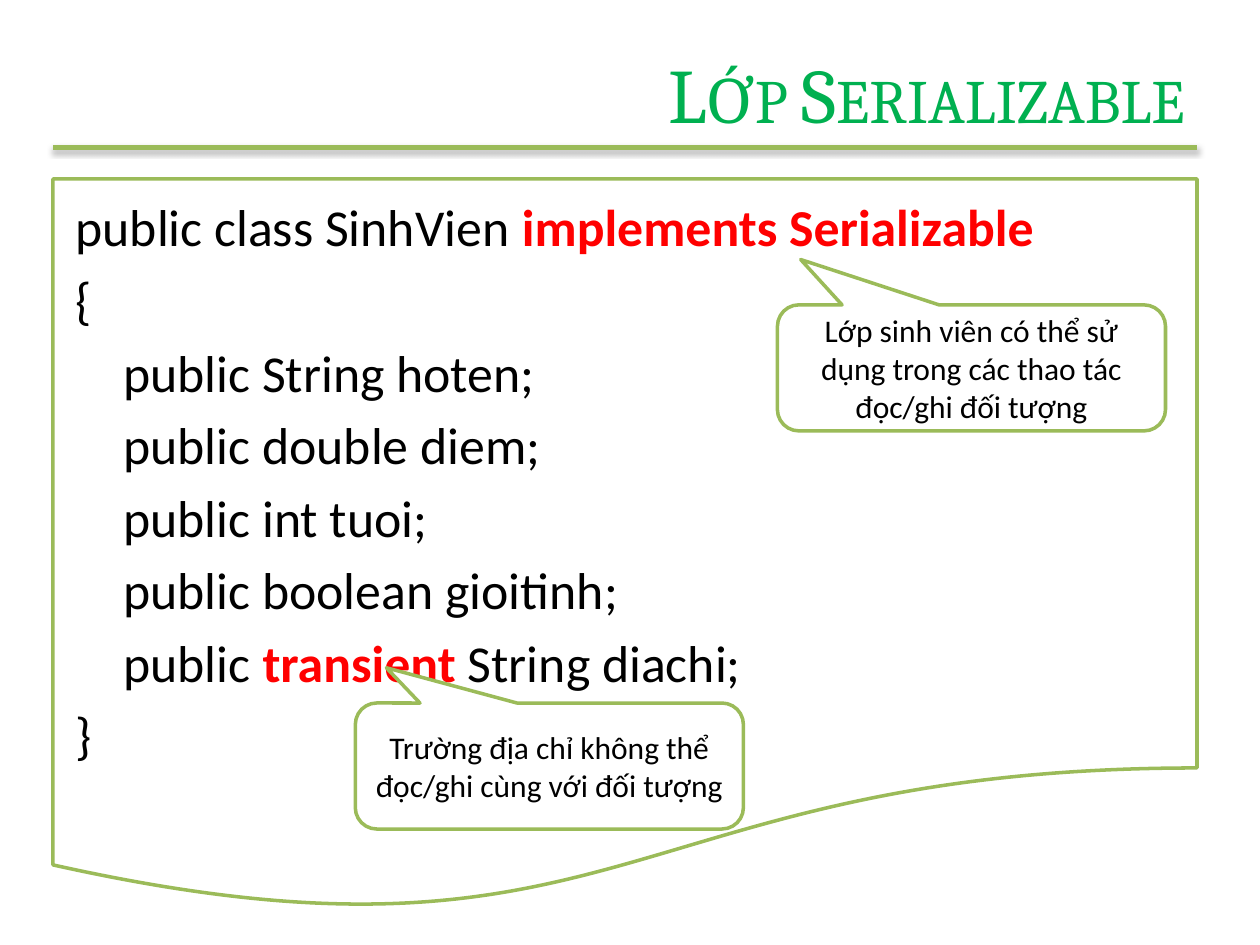
from lxml import etree
from pptx import Presentation
from pptx.dml.color import RGBColor
from pptx.enum.shapes import MSO_CONNECTOR, MSO_SHAPE
from pptx.enum.text import MSO_ANCHOR, PP_ALIGN
from pptx.oxml import parse_xml
from pptx.oxml.ns import nsdecls
from pptx.util import Inches, Pt

LEFT, CENTER, RIGHT = PP_ALIGN.LEFT, PP_ALIGN.CENTER, PP_ALIGN.RIGHT
TOP, MIDDLE = MSO_ANCHOR.TOP, MSO_ANCHOR.MIDDLE
DOCUMENT = MSO_SHAPE.FLOWCHART_DOCUMENT
CALLOUT = MSO_SHAPE.ROUNDED_RECTANGULAR_CALLOUT

TITLE = "Lớp Serializable"
# Each code line is a list of (text, style) spans.
CODE = [
    [("public class SinhVien ", "code"), ("implements Serializable", "keyword")],
    [("{", "code")],
    [("\tpublic String hoten;", "code")],
    [("\tpublic double diem;", "code")],
    [("\tpublic int tuoi;", "code")],
    [("\tpublic boolean gioitinh;", "code")],
    [("\tpublic ", "code"), ("transient", "keyword"), (" String diachi;", "code")],
    [("}", "code")],
]
# (text, left, top, pointer offsets and corner radius)
CALLOUTS = [
    ("Trường địa chỉ không thể đọc/ghi cùng với đối tượng",
     2.82, 5.58, (-0.42, -0.78, 0.17)),
    ("Lớp sinh viên có thể sử dụng trong các thao tác đọc/ghi đối tượng",
     6.17, 2.42, (-0.44, -0.86, 0.17)),
]
CALLOUT_SIZE = (3.08, 1)
PAGE_LEFT, PAGE_WIDTH = 0.42, 9.08
RULE_TOP = 1.17
INDENT = 0.38

CODE_SIZE = 29.6
THEME = {
    "paper": RGBColor(0xFF, 0xFF, 0xFF),
    "accent": RGBColor(0x9B, 0xBB, 0x59),
    "rule_width": Pt(3),
    "outline_width": Pt(2),
    "code_gap": Pt(CODE_SIZE * 0.2),
    "title": {"name": "Cambria", "size": Pt(44), "color": RGBColor(0, 0xB0, 0x50)},
    "code": {"name": "Calibri", "size": Pt(CODE_SIZE), "color": RGBColor(0, 0, 0)},
    "keyword": {"name": "Calibri", "size": Pt(CODE_SIZE), "bold": True,
                "color": RGBColor(0xFF, 0, 0)},
    "note": {"name": "Calibri", "size": Pt(18), "color": RGBColor(0, 0, 0)},
}
RULE_SHADOW = (
    f'<a:effectLst {nsdecls("a")}>'
    f'<a:outerShdw blurRad="{Pt(3.1)}" dist="{Pt(1.8)}" dir="5400000" rotWithShape="0">'
    '<a:srgbClr val="000000"><a:alpha val="35000"/></a:srgbClr>'
    '</a:outerShdw></a:effectLst>'
)


def write(box, lines, align=LEFT, anchor=TOP):
    """Fill the box with lines, each a list of (text, style) spans."""
    frame = box.text_frame
    frame.word_wrap = True
    frame.vertical_anchor = anchor
    for index, line in enumerate(lines):
        para = frame.add_paragraph() if index else frame.paragraphs[0]
        para.alignment = align
        for text, style in line:
            span = para.add_run()
            span.text = text
            for key, value in THEME[style].items():
                if key == "color":
                    span.font.color.rgb = value
                else:
                    setattr(span.font, key, value)
    return frame.paragraphs


def add_outlined(page, kind, *bounds):
    shape = page.shapes.add_shape(kind, *map(Inches, bounds))
    shape.shadow.inherit = False
    shape.fill.solid()
    shape.fill.fore_color.rgb = THEME["paper"]
    shape.line.color.rgb = THEME["accent"]
    shape.line.width = THEME["outline_width"]
    return shape


def add_rule(page):
    ends = (PAGE_LEFT, RULE_TOP, PAGE_LEFT + PAGE_WIDTH, RULE_TOP)
    rule = page.shapes.add_connector(MSO_CONNECTOR.STRAIGHT, *map(Inches, ends))
    rule.line.color.rgb = THEME["accent"]
    rule.line.width = THEME["rule_width"]
    rule._element.spPr.append(parse_xml(RULE_SHADOW))


def add_title(page):
    box = page.shapes.add_textbox(*map(Inches, (1.45, 0.3, 8.05, 0.87)))
    title = write(box, [[(TITLE, "title")]], RIGHT, MIDDLE)[0]
    title.runs[0].font._element.set("cap", "small")


def add_code(page):
    box = page.shapes.add_textbox(*map(Inches, (0.5, 1.5, PAGE_WIDTH, 4.58)))
    for index, para in enumerate(write(box, CODE)):
        if index:
            para.space_before = THEME["code_gap"]
        properties = para._p.get_or_add_pPr()
        properties.set("marL", str(Inches(INDENT)))
        properties.set("indent", str(-Inches(INDENT)))
        etree.SubElement(properties, properties.tag.replace("pPr", "buNone"))


def add_callouts(page):
    for text, left, top, adjustments in CALLOUTS:
        callout = add_outlined(page, CALLOUT, left, top, *CALLOUT_SIZE)
        for index, value in enumerate(adjustments):
            callout.adjustments[index] = value
        write(callout, [[(text, "note")]], CENTER, MIDDLE)


def main():
    deck = Presentation()
    deck.slide_width, deck.slide_height = Inches(10), Inches(7.5)
    page = deck.slides.add_slide(deck.slide_layouts[6])
    add_rule(page)
    add_outlined(page, DOCUMENT, PAGE_LEFT, 1.42, PAGE_WIDTH, 5.83)
    add_title(page)
    add_code(page)
    add_callouts(page)
    deck.save("out.pptx")


if __name__ == "__main__":
    main()
